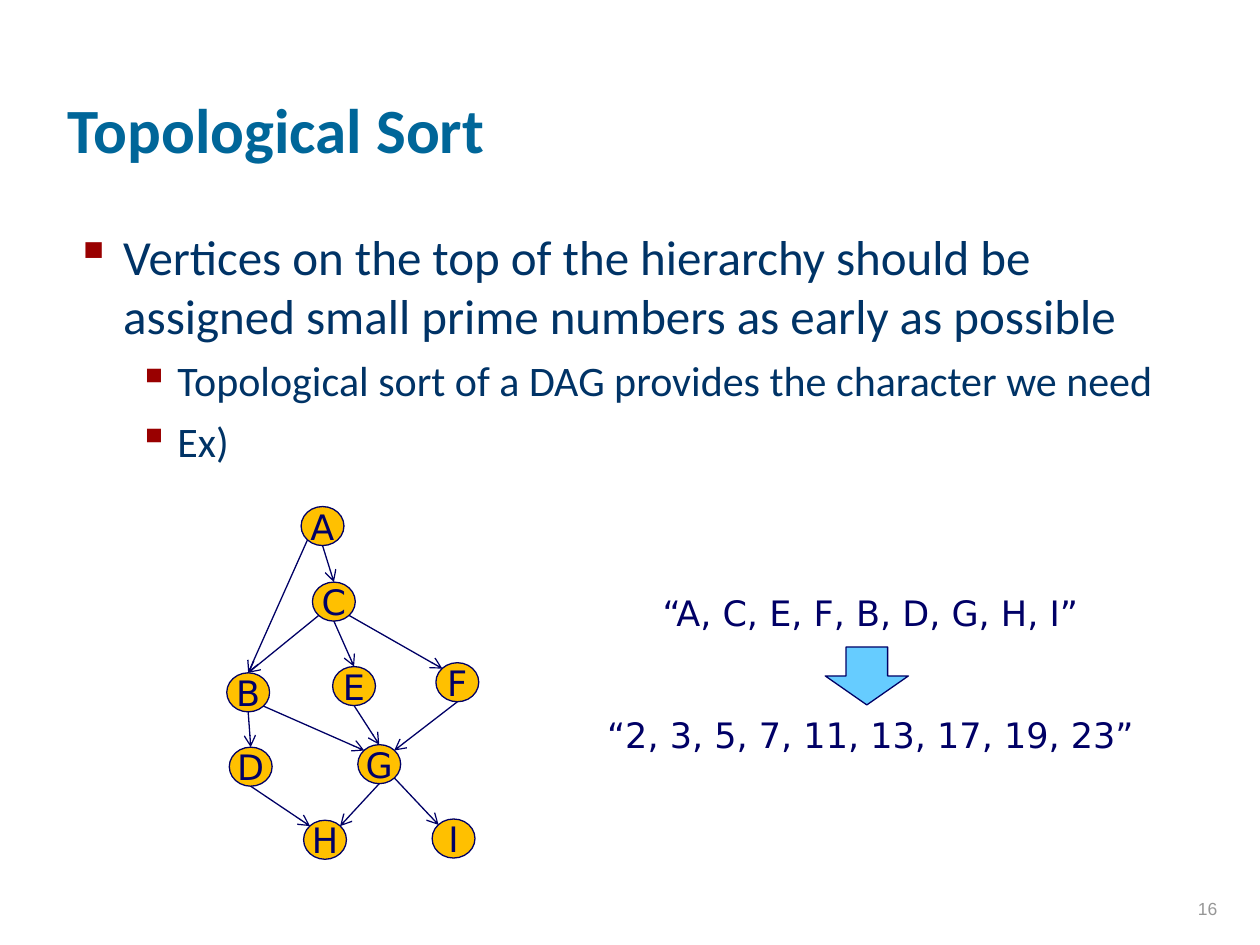
from lxml import etree
from pptx import Presentation
from pptx.dml.color import RGBColor
from pptx.enum.shapes import MSO_CONNECTOR as Link, MSO_SHAPE as Shape
from pptx.enum.text import MSO_ANCHOR as Anchor, PP_ALIGN as Align
from pptx.oxml.ns import qn
from pptx.util import Inches, Pt

TITLE_BLUE = RGBColor(0x00, 0x66, 0x99)
BODY_BLUE = RGBColor(0x00, 0x33, 0x66)
NAVY = RGBColor(0x00, 0x00, 0x66)
AMBER = RGBColor(0xFF, 0xC0, 0x00)
SKY = RGBColor(0x66, 0xCC, 0xFF)
GREY = RGBColor(0x96, 0x96, 0x96)
BULLET_RED = "990000"

NODE_WIDTH, NODE_HEIGHT = 0.34, 0.31
# Left and top of each vertex
NODES = {
    "A": (2.39, 4.02), "G": (2.84, 5.91), "B": (1.8, 5.34),
    "E": (2.64, 5.29), "F": (3.46, 5.26), "C": (2.48, 4.62),
    "D": (1.82, 5.93), "H": (2.41, 6.51), "I": (3.43, 6.5),
}
# Points on a vertex outline, as fractions of its half width and height
SITES = {
    "top": (0, -1), "bottom": (0, 1),
    "top left": (-0.7, -0.7), "top right": (0.7, -0.7),
    "bottom left": (-0.7, 0.7), "bottom right": (0.7, 0.7),
}
EDGES = [
    ("A", "bottom", "C", "top"),
    ("A", "bottom left", "B", "top"),
    ("C", "bottom left", "B", "top"),
    ("C", "bottom", "E", "top"),
    ("C", "bottom right", "F", "top left"),
    ("B", "bottom right", "G", "top left"),
    ("E", "bottom", "G", "top"),
    ("F", "bottom", "G", "top right"),
    ("B", "bottom", "D", "top"),
    ("D", "bottom", "H", "top left"),
    ("G", "bottom", "H", "top right"),
    ("G", "bottom right", "I", "top left"),
]


def style_font(para, name, size, color, bold=False):
    para.font.name = name
    para.font.size = Pt(size)
    para.font.color.rgb = color
    para.font.bold = bold


def add_text_frame(page, box, anchor=Anchor.TOP, wrap=True):
    frame = page.shapes.add_textbox(*map(Inches, box)).text_frame
    frame.word_wrap = wrap
    frame.vertical_anchor = anchor
    return frame


def add_bullet(para, margin, hanging):
    props = para._p.get_or_add_pPr()
    props.set("marL", str(Inches(margin)))
    props.set("indent", str(-Inches(hanging)))
    color = etree.SubElement(props, qn("a:buClr"))
    etree.SubElement(color, qn("a:srgbClr"), val=BULLET_RED)
    etree.SubElement(props, qn("a:buChar"), char="▪")


def add_title(page, box):
    para = add_text_frame(page, box, Anchor.BOTTOM).paragraphs[0]
    para.text = "Topological Sort"
    style_font(para, "Calibri", 36, TITLE_BLUE, bold=True)


def add_body(page, box):
    frame = add_text_frame(page, box)
    items = [
        (0, "Vertices on the top of the hierarchy should be "
            "assigned small prime numbers as early as possible"),
        (1, "Topological sort of a DAG provides the character we need"),
        (1, "Ex)"),
    ]
    levels = [(0.38, 0.38, 28), (0.81, 0.31, 24)]
    for index, (level, text) in enumerate(items):
        para = frame.add_paragraph() if index else frame.paragraphs[0]
        margin, hanging, size = levels[level]
        para.text = text
        para.level = level
        if index:
            para.space_before = Pt(6)
        add_bullet(para, margin, hanging)
        style_font(para, "Calibri", size, BODY_BLUE)


def add_page_number(page, box):
    para = add_text_frame(page, box, Anchor.BOTTOM).paragraphs[0]
    para.text = "16"
    para.alignment = Align.RIGHT
    style_font(para, "Arial", 10, GREY)


def add_outlined_shape(page, kind, box, fill):
    shape = page.shapes.add_shape(kind, *map(Inches, box))
    shape.shadow.inherit = False
    shape.fill.solid()
    shape.fill.fore_color.rgb = fill
    shape.line.color.rgb = NAVY
    shape.line.width = Pt(0.75)
    return shape


def add_node(page, label, box):
    frame = add_outlined_shape(page, Shape.OVAL, box, AMBER).text_frame
    frame.word_wrap = False
    frame.vertical_anchor = Anchor.MIDDLE
    para = frame.paragraphs[0]
    para.text = label
    para.alignment = Align.CENTER
    style_font(para, "DejaVu Sans", 20, NAVY)


def add_arrow(page, start, end):
    arrow = page.shapes.add_connector(Link.STRAIGHT, *map(Inches, start + end))
    arrow.line.color.rgb = NAVY
    arrow.line.width = Pt(0.75)
    etree.SubElement(arrow.line._get_or_add_ln(), qn("a:tailEnd"), type="arrow")
    etree.SubElement(arrow._element.spPr, qn("a:effectLst"))


def add_graph(page, box):
    """Draw the vertices and edges, offset to the left and top of the box."""
    left, top = box[:2]
    first_left = min(x for x, _ in NODES.values())
    first_top = min(y for _, y in NODES.values())
    places = {label: (left + x - first_left, top + y - first_top)
              for label, (x, y) in NODES.items()}

    def site_point(label, site):
        x, y = places[label]
        across, down = SITES[site]
        return (x + NODE_WIDTH / 2 * (1 + across),
                y + NODE_HEIGHT / 2 * (1 + down))

    for label, place in places.items():
        add_node(page, label, place + (NODE_WIDTH, NODE_HEIGHT))
    for source, exit_site, target, entry_site in EDGES:
        add_arrow(page, site_point(source, exit_site),
                  site_point(target, entry_site))


def add_prime_mapping(page, box):
    """Show the sorted vertices above the primes, with an arrow between."""
    left, top, width, height = box
    frame = add_text_frame(page, box, Anchor.MIDDLE, wrap=False)
    order, primes = frame.paragraphs[0], frame.add_paragraph()
    order.text = "“A, C, E, F, B, D, G, H, I”"
    primes.text = "“2, 3, 5, 7, 11, 13, 17, 19, 23”"
    primes.space_before = Pt(46)
    for para in (order, primes):
        para.alignment = Align.CENTER
        style_font(para, "DejaVu Sans", 20, NAVY)
    arrow_width, arrow_height = 0.66, 0.46
    add_outlined_shape(
        page, Shape.DOWN_ARROW,
        (left + (width - arrow_width) / 2 - 0.03,
         top + (height - arrow_height) / 2 + 0.02,
         arrow_width, arrow_height), SKY)


def main():
    deck = Presentation()
    deck.slide_width, deck.slide_height = Inches(10), Inches(7.5)
    page = deck.slides.add_slide(deck.slide_layouts[6])
    add_title(page, (0.44, 0.12, 8.5, 1.25))
    add_body(page, (0.5, 1.75, 8.94, 4.88))
    add_page_number(page, (7.68, 6.84, 2.08, 0.5))
    add_graph(page, (1.8, 4.02, 2, 2.8))
    add_prime_mapping(page, (4.51, 4.63, 4.8, 1.43))
    deck.save("out.pptx")


if __name__ == "__main__":
    main()
